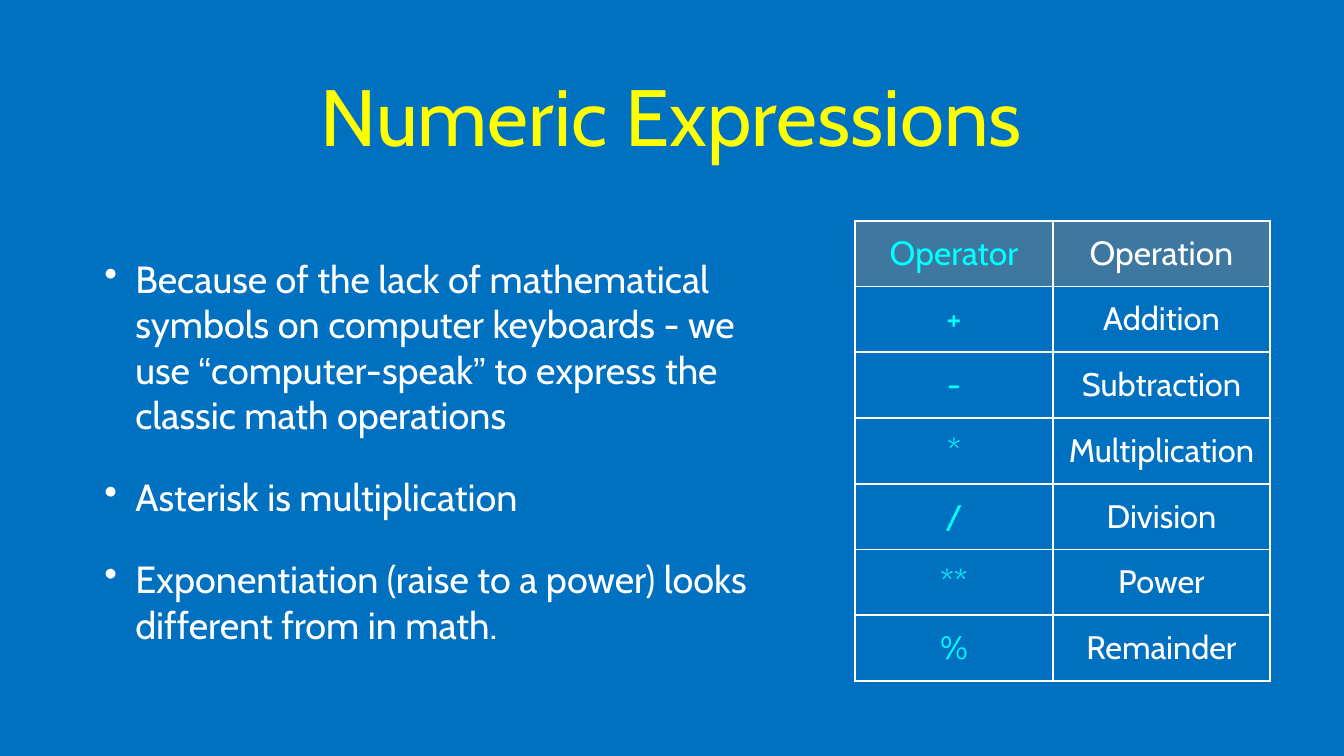
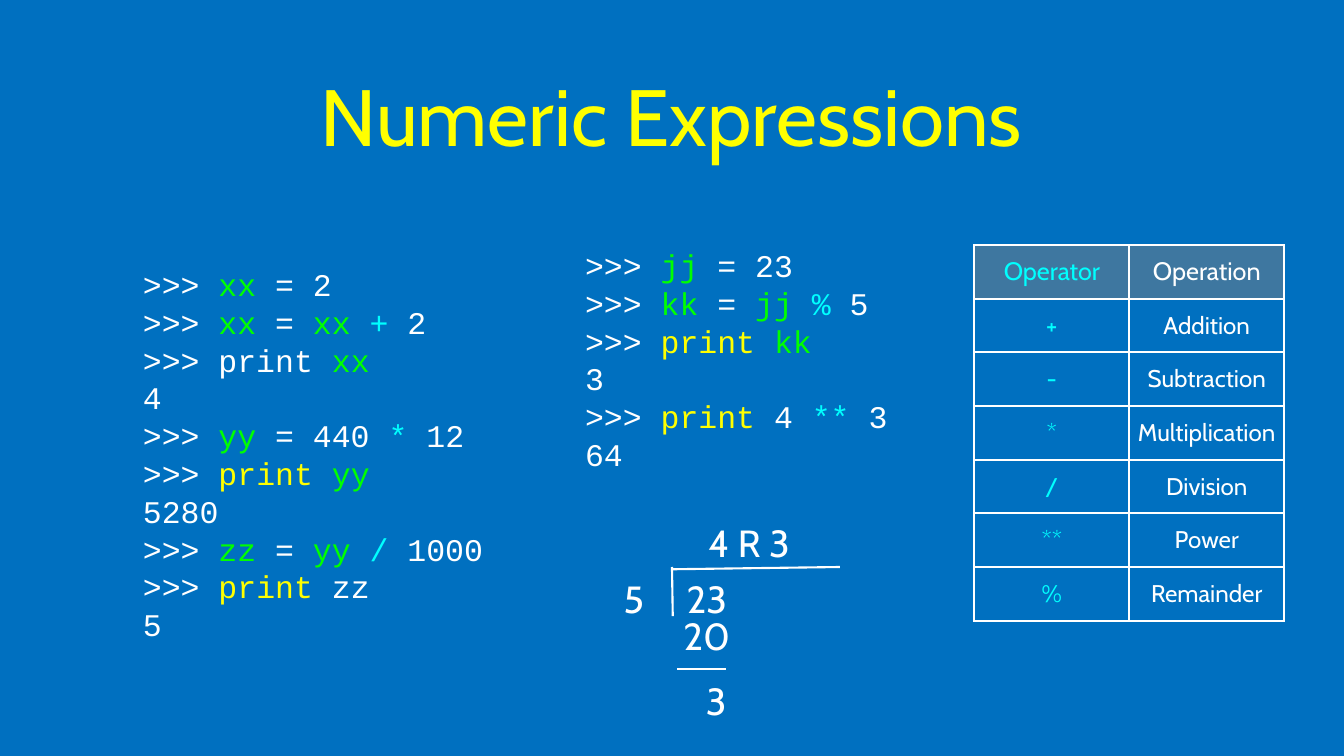
"""Build two slides on numeric expressions in Python."""
from lxml import etree
from pptx import Presentation
from pptx.dml.color import RGBColor
from pptx.enum.shapes import MSO_CONNECTOR
from pptx.enum.text import MSO_ANCHOR, PP_ALIGN
from pptx.oxml.ns import qn
from pptx.util import Inches, Pt

STRAIGHT = MSO_CONNECTOR.STRAIGHT
MIDDLE = MSO_ANCHOR.MIDDLE
LEFT, CENTER = PP_ALIGN.LEFT, PP_ALIGN.CENTER

WIDTH, HEIGHT = 17.78, 10
BLUE, GREY, WHITE = "0070C0", "7F7F7F", "FFFFFF"
YELLOW, CYAN, GREEN = "FFFF00", "00FFFF", "00FF00"
SANS, QUOTE_FONT, MONO = "Cabin", "Arial", "Courier New"
INSET = 0.04
HEADER_OPACITY = 49

TITLE = "Numeric Expressions"
BULLETS = [
    "Because of the lack of mathematical symbols on computer keyboards - we use "
    "“computer-speak” to express the classic math operations",
    "Asterisk is multiplication",
    "Exponentiation (raise to a power) looks different from in math.",
]
OPERATORS = [
    ("Operator", "Operation"),
    ("+", "Addition"),
    ("-", "Subtraction"),
    ("*", "Multiplication"),
    ("/", "Division"),
    ("**", "Power"),
    ("%", "Remainder"),
]

WORD_COLOURS = {symbol: CYAN for symbol, _ in OPERATORS[1:]}
WORD_COLOURS.update({name: GREEN for name in ("xx", "yy", "zz", "jj", "kk")})
WORD_COLOURS["print"] = YELLOW
SESSIONS = [
    ((1.89, 3.1, 4.88, 5.81), [
        ">>> xx = 2", ">>> xx = xx + 2", ">>> print xx", "4",
        ">>> yy = 440 * 12", ">>> print yy", "5280",
        ">>> zz = yy / 1000", ">>> print zz", "5",
    ]),
    ((7.74, 2.99, 4.4, 3.53), [
        ">>> jj = 23", ">>> kk = jj % 5", ">>> print kk", "3",
        ">>> print 4 ** 3", "64",
    ]),
]
PLAIN_WORDS = {(">>> print xx", "print"), (">>> print zz", "zz")}

DIGIT_HEIGHT = 0.68
DIVISION_NUMBERS = [
    ("5", 8.2, 7.57, 0.37),
    ("23", 9.04, 7.57, 0.62),
    ("4 R 3", 9.31, 6.84, 1.2),
    ("20", 9.04, 8.07, 0.62),
    ("3", 9.29, 8.92, 0.37),
]
DIVISION_LINES = [
    (8.89, 7.5, 8.9, 8.15),
    (8.89, 7.53, 11.11, 7.5),
    (8.96, 8.85, 9.6, 8.85),
]


def colour(hex_code):
    return RGBColor.from_string(hex_code)


def add_page(deck):
    page = deck.slides.add_slide(deck.slide_layouts[6])
    page.background.fill.solid()
    page.background.fill.fore_color.rgb = colour(BLUE)
    add_text(page, (1.26, 0.26, 15.24, 2.51), [[(TITLE, SANS, YELLOW)]], 76, CENTER, INSET)
    return page


def fill_paragraph(para, spans, size, align):
    para.alignment = align
    for text, font, tint in spans:
        span = para.add_run()
        span.text = text
        span.font.name = font
        span.font.size = Pt(size)
        span.font.bold = False
        span.font.color.rgb = colour(tint)


def set_margins(holder, inset):
    holder.margin_left = holder.margin_right = Inches(inset)
    holder.margin_top = holder.margin_bottom = Inches(inset)
    holder.vertical_anchor = MIDDLE


def add_text(page, place, lines, size, align=LEFT, inset=0, wrap=True):
    frame = page.shapes.add_textbox(*map(Inches, place)).text_frame
    frame.word_wrap = wrap
    set_margins(frame, inset)
    for index, spans in enumerate(lines):
        para = frame.add_paragraph() if index else frame.paragraphs[0]
        fill_paragraph(para, spans, size, align)
    return frame


def quote_spans(text):
    """Set curly quotes in their own font."""
    spaced = text.replace("“", "|“|").replace("”", "|”|")
    return [(part, QUOTE_FONT if part in "“”" else SANS, WHITE)
            for part in spaced.split("|") if part]


def add_bullets(page):
    frame = add_text(page, (0.93, 2.85, 9.24, 6.24), map(quote_spans, BULLETS), 36, inset=INSET)
    for index, para in enumerate(frame.paragraphs):
        para.space_before = Pt(35 if index else 0)
        props = para._p.get_or_add_pPr()
        props.set("marL", str(Inches(0.82)))
        props.set("indent", str(Inches(-0.41)))
        etree.SubElement(props, qn("a:buChar")).set("char", "•")


def add_solid(parent, tint):
    solid = etree.SubElement(parent, qn("a:solidFill"))
    tone = etree.SubElement(solid, qn("a:srgbClr"))
    tone.set("val", tint)
    return tone


def style_cell(cell, is_header):
    props = cell._tc.get_or_add_tcPr()
    for side in ("L", "R", "T", "B"):
        border = etree.SubElement(props, qn("a:ln" + side))
        border.set("w", str(Pt(2)))
        add_solid(border, WHITE)
    if is_header:
        alpha = etree.SubElement(add_solid(props, GREY), qn("a:alpha"))
        alpha.set("val", str(HEADER_OPACITY * 1000))
    else:
        etree.SubElement(props, qn("a:noFill"))


def add_operator_table(page, left, top, column_widths, row_height, header_size):
    count = len(OPERATORS)
    place = left, top, sum(column_widths), row_height * count
    table = page.shapes.add_table(count, 2, *map(Inches, place)).table
    table.first_row = table.horz_banding = False
    for column, width in zip(table.columns, column_widths):
        column.width = Inches(width)
    for row, words in enumerate(OPERATORS):
        for column, (word, tint) in enumerate(zip(words, (CYAN, WHITE))):
            cell = table.cell(row, column)
            set_margins(cell, INSET)
            size = header_size - 1 if row else header_size
            fill_paragraph(cell.text_frame.paragraphs[0], [(word, SANS, tint)], size, CENTER)
            style_cell(cell, row == 0)


def code_spans(line):
    """Colour each word of a session line by its role."""
    words = line.split(" ")
    spans = []
    for index, word in enumerate(words):
        tint = WHITE if (line, word) in PLAIN_WORDS else WORD_COLOURS.get(word, WHITE)
        gap = " " if index < len(words) - 1 else ""
        spans.append((word + gap, MONO, tint))
    return spans


def add_long_division(page):
    for x1, y1, x2, y2 in DIVISION_LINES:
        line = page.shapes.add_connector(STRAIGHT, *map(Inches, (x1, y1, x2, y2)))
        line.line.color.rgb = colour(WHITE)
        line.line.width = Pt(2)
        etree.SubElement(line._element.spPr, qn("a:effectLst"))
    for text, left, top, width in DIVISION_NUMBERS:
        place = left, top, width, DIGIT_HEIGHT
        add_text(page, place, [[(text, SANS, WHITE)]], 36, CENTER, wrap=False)


def main():
    deck = Presentation()
    deck.slide_width, deck.slide_height = Inches(WIDTH), Inches(HEIGHT)

    page = add_page(deck)
    add_bullets(page)
    add_operator_table(page, 11.31, 2.92, (2.62, 2.87), 0.87, 32)

    page = add_page(deck)
    for place, lines in SESSIONS:
        add_text(page, place, map(code_spans, lines), 30)
    add_operator_table(page, 12.89, 3.24, (2.05, 2.05), 0.71, 24)
    add_long_division(page)

    deck.save("out.pptx")


if __name__ == "__main__":
    main()
